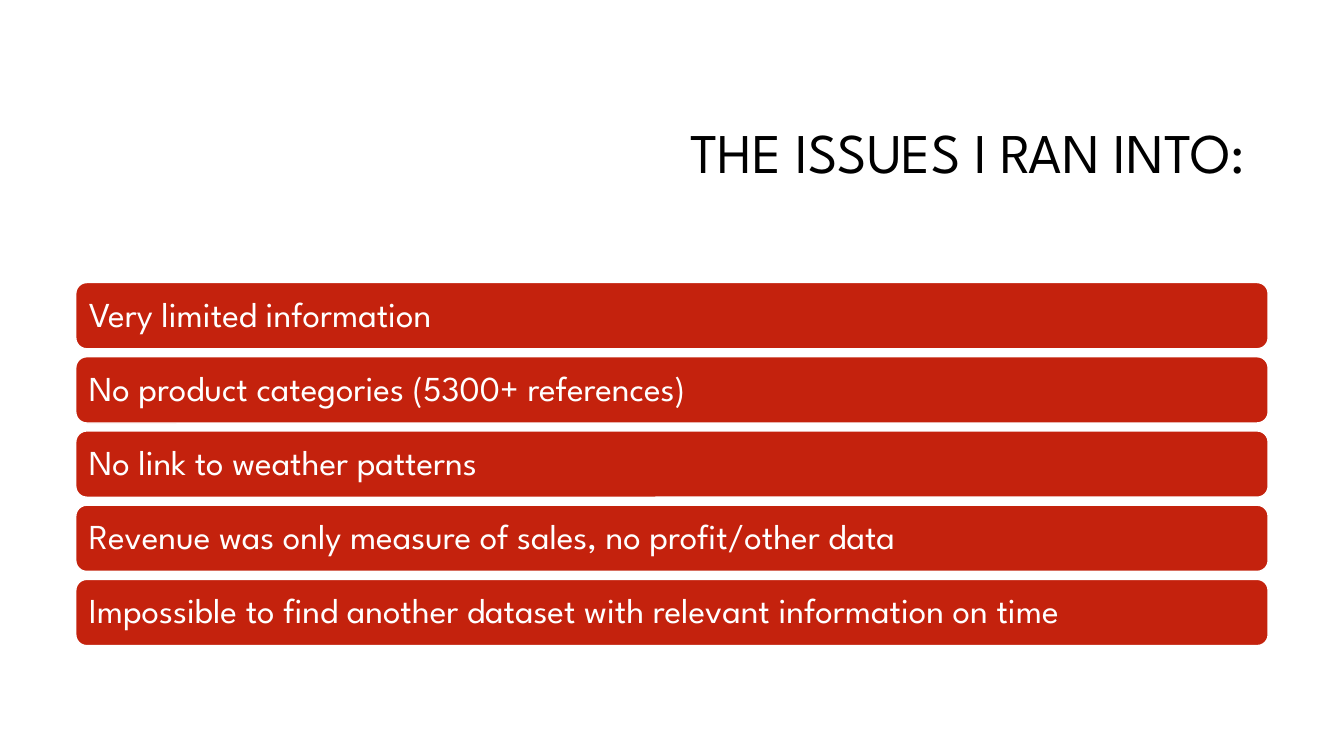
"""Build the slide that lists the issues met with the data."""
import pptx
import pptx.util
import pptx.dml.color
import pptx.enum.shapes
import pptx.enum.text

Cm, Pt = pptx.util.Cm, pptx.util.Pt
RGB = pptx.dml.color.RGBColor
ALIGN = pptx.enum.text.PP_ALIGN
MIDDLE = pptx.enum.text.MSO_ANCHOR.MIDDLE
ROUND = pptx.enum.shapes.MSO_SHAPE.ROUNDED_RECTANGLE

TITLE = "THE ISSUES I RAN INTO: "
ISSUES = [
    "Very limited information",
    "No product categories (5300+ references)",
    "No link to weather patterns ",
    "Revenue was only measure of sales, no profit/other data",
    "Impossible to find another dataset with relevant information on time",
]
FONT = "League Spartan"
RED = RGB(0xC4, 0x22, 0x0D)
WHITE = RGB(0xFF, 0xFF, 0xFF)
BLACK = RGB(0x00, 0x00, 0x00)
LEFT, TOP, WIDTH, HEIGHT, STEP = 1.91, 7.12, 30.05, 1.67, 1.87


def write(shape, text, size, color, align):
    """Set one line of styled text, centred vertically."""
    frame = shape.text_frame
    frame.text = text
    frame.word_wrap = True
    frame.auto_size = pptx.enum.text.MSO_AUTO_SIZE.NONE
    frame.vertical_anchor = MIDDLE
    line = frame.paragraphs[0]
    line.alignment = align
    line.line_spacing = 0.9
    line.font.name = FONT
    line.font.size = Pt(size)
    line.font.color.rgb = color
    return frame


def add_bar(slide, row, text):
    """Add the red bar for one issue."""
    bar = slide.shapes.add_shape(
        ROUND, Cm(LEFT), Cm(TOP + row * STEP), Cm(WIDTH), Cm(HEIGHT))
    bar.shadow.inherit = False
    bar.fill.solid()
    bar.fill.fore_color.rgb = RED
    bar.line.color.rgb = WHITE
    bar.line.width = Pt(1)
    frame = write(bar, text, 25, WHITE, ALIGN.LEFT)
    frame.margin_left = frame.margin_right = Cm(0.25)
    frame.margin_top = frame.margin_bottom = Cm(0.25)


deck = pptx.Presentation()
deck.slide_width, deck.slide_height = Cm(33.87), Cm(19.05)
slide = deck.slides.add_slide(deck.slide_layouts[5])
title = slide.shapes.title
title.left, title.top = Cm(8.05), Cm(2.13)
title.width, title.height = Cm(23.93), Cm(3.58)
write(title, TITLE, 40, BLACK, ALIGN.RIGHT)
for row, issue in enumerate(ISSUES):
    add_bar(slide, row, issue)
deck.save("out.pptx")
